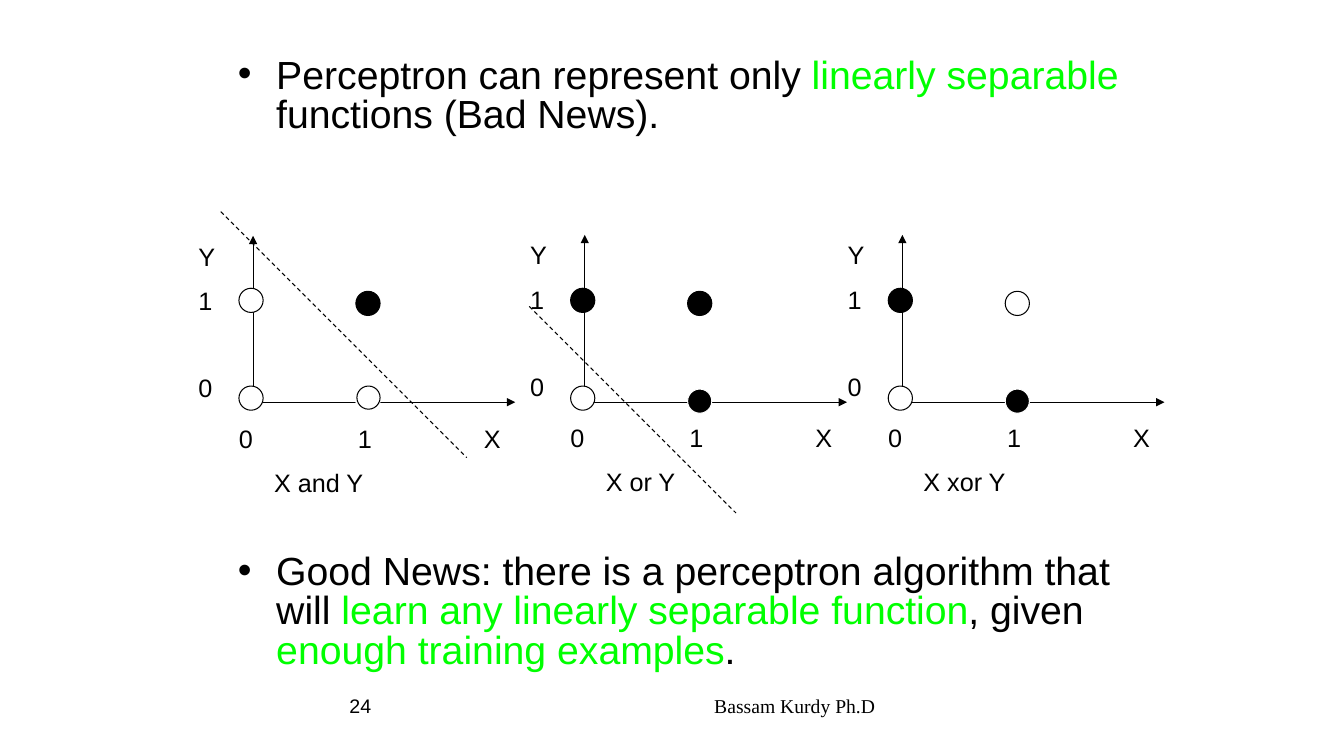
from dataclasses import dataclass

from lxml.etree import SubElement
from pptx import Presentation
from pptx.dml.color import RGBColor
from pptx.enum.dml import MSO_LINE
from pptx.enum.shapes import MSO_CONNECTOR, MSO_SHAPE
from pptx.enum.text import MSO_AUTO_SIZE, PP_ALIGN
from pptx.oxml.ns import qn
from pptx.util import Inches, Pt


@dataclass(frozen=True)
class Theme:
    ink: RGBColor = RGBColor(0, 0, 0)
    paper: RGBColor = RGBColor(255, 255, 255)
    accent: RGBColor = RGBColor(0, 255, 0)
    sans: str = "Arial"
    serif: str = "Times New Roman"
    bullet_size: int = 28
    label_size: int = 18
    footer_size: int = 14
    line_width: float = 0.75


class PerceptronSlide:
    """Draws the elements of one slide in a shared style."""

    def __init__(self, presentation, theme):
        self.theme = theme
        self.slide = presentation.slides.add_slide(presentation.slide_layouts[1])
        title = self.slide.shapes.title.element
        title.getparent().remove(title)
        self.canvas = self.slide.shapes

    def start_group(self):
        self.canvas = self.slide.shapes.add_group_shape().shapes

    def end_group(self):
        self.canvas = self.slide.shapes

    def style(self, run, size, color=None, font=None):
        run.font.size = Pt(size)
        run.font.name = font or self.theme.sans
        run.font.color.rgb = color or self.theme.ink

    def bullets(self, left, top, width, height, items):
        body = self.slide.placeholders[1]
        body.left, body.top = Inches(left), Inches(top)
        body.width, body.height = Inches(width), Inches(height)
        frame = body.text_frame
        frame.auto_size = MSO_AUTO_SIZE.NONE
        for index, (space_before, phrases) in enumerate(items):
            paragraph = frame.add_paragraph() if index else frame.paragraphs[0]
            paragraph.line_spacing = 0.84
            paragraph.space_before = Pt(space_before)
            properties = paragraph._p.get_or_add_pPr()
            properties.set("marL", str(Inches(0.38)))
            properties.set("indent", str(Inches(-0.38)))
            SubElement(properties, qn("a:buChar")).set("char", "•")
            for phrase, color in phrases:
                run = paragraph.add_run()
                run.text = phrase
                self.style(run, self.theme.bullet_size, color)

    def text(self, left, top, width, height, lines, size, font=None,
             align=PP_ALIGN.LEFT):
        box = self.canvas.add_textbox(
            Inches(left), Inches(top), Inches(width), Inches(height))
        frame = box.text_frame
        frame.word_wrap = True
        frame.text = "\n".join(line for line, _ in lines)
        for paragraph, (_, space_before) in zip(frame.paragraphs, lines):
            paragraph.alignment = align
            paragraph.space_before = Pt(space_before)
            for run in paragraph.runs:
                self.style(run, size, font=font)
        return frame.paragraphs

    def line(self, start, end, arrow=False, dashed=False):
        connector = self.canvas.add_connector(
            MSO_CONNECTOR.STRAIGHT, *(Inches(value) for value in (*start, *end)))
        connector.line.color.rgb = self.theme.ink
        connector.line.width = Pt(self.theme.line_width)
        if dashed:
            connector.line.dash_style = MSO_LINE.DASH
        if arrow:
            SubElement(connector.line._get_or_add_ln(),
                       qn("a:tailEnd")).set("type", "triangle")
        SubElement(connector._element.spPr, qn("a:effectLst"))

    def dot(self, left, top, fill, outline, diameter=0.24):
        circle = self.canvas.add_shape(
            MSO_SHAPE.OVAL, Inches(left), Inches(top),
            Inches(diameter), Inches(diameter))
        circle.shadow.inherit = False
        if fill is None:
            circle.fill.background()
        else:
            circle.fill.solid()
            circle.fill.fore_color.rgb = fill
        circle.line.color.rgb = outline
        circle.line.width = Pt(self.theme.line_width)

    def plot(self, origin, top, name, outputs, separator):
        theme = self.theme
        floor = 3.99
        self.start_group()
        self.line((origin, floor), (origin + 2.6, floor), arrow=True)
        self.line((origin, floor), (origin, top), arrow=True)
        corners = ((-0.14, 3.83), (1.02, 3.86), (-0.14, 2.86), (1.02, 2.89))
        for index, ((offset, height), output) in enumerate(zip(corners, outputs)):
            self.dot(origin + offset, height,
                     theme.ink if output else theme.paper,
                     theme.paper if index == 1 else theme.ink)
        x_scale, caption = self.text(
            origin - 0.24, top + 1.81, 2.91, 0.85,
            [("0\t1\tX", 0), (name, 10)], theme.label_size)
        stops = SubElement(x_scale._p.get_or_add_pPr(), qn("a:tabLst"))
        for position in (1.18, 2.43):
            stop = SubElement(stops, qn("a:tab"))
            stop.set("pos", str(Inches(position)))
            stop.set("algn", "l")
        caption._p.get_or_add_pPr().set("marL", str(Inches(0.35)))
        self.text(origin - 0.64, top, 0.47, 1.76,
                  [("Y", 0), ("1", 10), ("0", 41)], theme.label_size)
        if separator:
            self.line(*separator, dashed=True)
        self.end_group()


def main():
    presentation = Presentation()
    presentation.slide_width = Inches(13.33)
    presentation.slide_height = Inches(7.5)
    theme = Theme()
    page = PerceptronSlide(presentation, theme)

    page.bullets(2.26, 0.52, 9, 6.31, [
        (0, [("Perceptron can represent only ", theme.ink),
             ("linearly separable", theme.accent),
             (" functions (Bad News).", theme.ink)]),
        (298, [("Good News: there is a perceptron algorithm that will ", theme.ink),
               ("learn any linearly separable function", theme.accent),
               (", given ", theme.ink),
               ("enough training examples", theme.accent),
               (".", theme.ink)]),
    ])

    plots = (
        (2.51, 2.34, "X and Y", (0, 0, 0, 1), ((2.19, 2.1), (4.63, 4.54))),
        (5.8, 2.33, "X or Y", (0, 1, 1, 1), ((5.25, 3.04), (7.3, 5.09))),
        (8.95, 2.33, "X xor Y", (0, 1, 1, 0), None),
    )
    for plot in plots:
        page.plot(*plot)
    page.dot(3.54, 3.83, None, theme.ink, diameter=0.23)

    footers = ((4.56, 4.22, "Bassam Kurdy Ph.D", theme.serif),
               (0.67, 3.11, "24", theme.sans))
    for left, width, words, font in footers:
        page.text(left, 6.83, width, 0.52, [(words, 0)],
                  theme.footer_size, font, PP_ALIGN.RIGHT)

    presentation.save("out.pptx")


if __name__ == "__main__":
    main()
